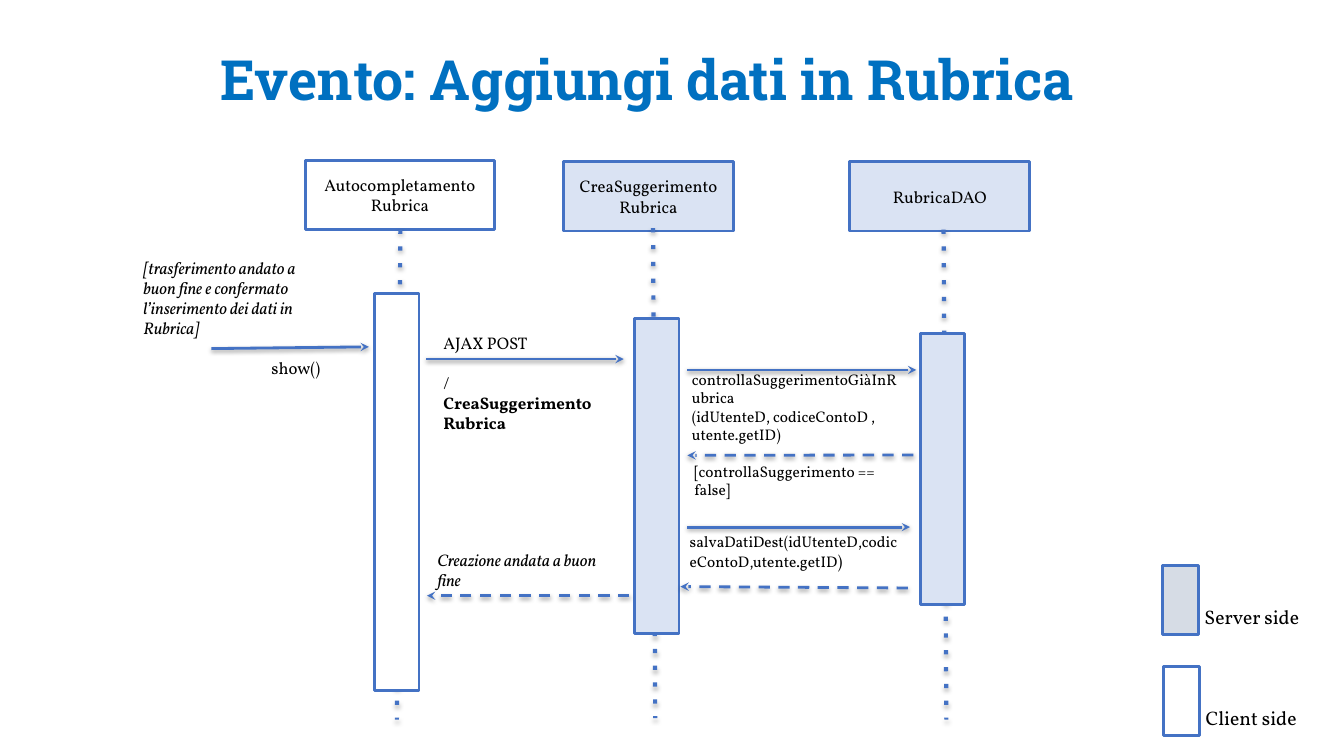
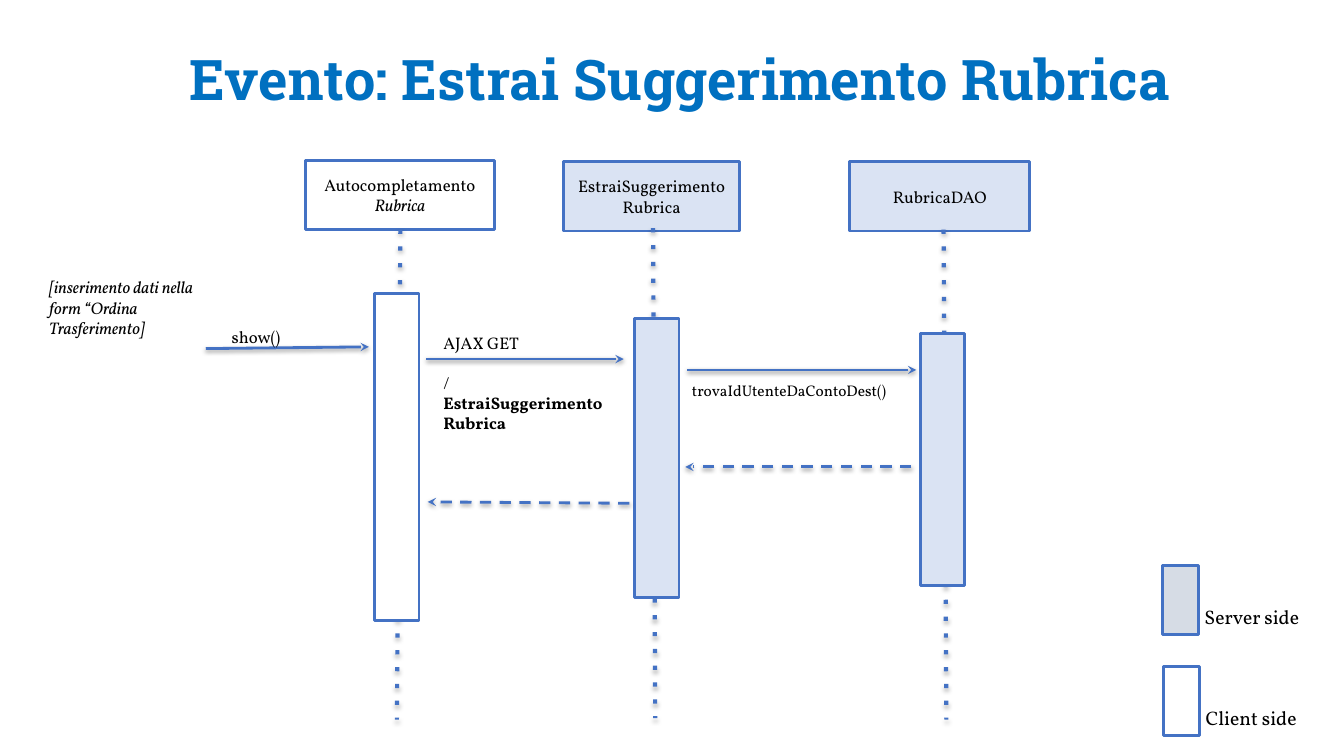
"""Build two sequence diagrams for the address book events."""
from lxml import etree
from pptx import Presentation
from pptx.dml.color import RGBColor
from pptx.enum import shapes, text
from pptx.oxml import ns
from pptx.util import Pt

TITLE_BLUE = RGBColor(0x00, 0x70, 0xC0)
LINE_BLUE = RGBColor(0x44, 0x72, 0xC4)
SERVER = RGBColor(0xDA, 0xE3, 0xF3)
LEGEND_GREY = RGBColor(0xD6, 0xDC, 0xE5)
CLIENT = RGBColor(0xFF, 0xFF, 0xFF)
BLACK = RGBColor(0x00, 0x00, 0x00)
TITLE_FONT, BODY_FONT = "Roboto Slab", "Vollkorn"
LEFT, CENTER, RIGHT = text.PP_ALIGN.LEFT, text.PP_ALIGN.CENTER, text.PP_ALIGN.RIGHT
BLANK_LINE = 14.3

HEADS = [(218, 114.5, CLIENT), (402.5, 115.5, SERVER), (607, 115.5, SERVER)]
LIFELINES = [(286, 164, 283.5, 514), (466.5, 163, 468, 513), (674, 164, 676, 514)]
BARS = [(267.75, 209.5, CLIENT), (453.5, 227.5, SERVER), (657.5, 238.5, SERVER)]
LEGEND = [("Server side", 830.25, 404, LEGEND_GREY), ("Client side", 831, 476, CLIENT)]
SHARED_CALLS = [(304.5, 256.5, 445.5, 256.5), (491, 264.25, 654.5, 264.25)]

LINE_STYLES = {
    "lifeline": dict(width=3, dash="dot", arrow=False, distance=23000, alpha=35000),
    "call": dict(width=2, dash="solid", arrow=True, distance=20000, alpha=38000),
    "reply": dict(width=2, dash="dash", arrow=True, distance=20000, alpha=38000),
}

EVENTS = [
    dict(
        title="Evento: Aggiungi dati in Rubrica",
        title_place=(150, 18, 696, 66), title_size=39.6, title_align=LEFT,
        head_widths=(135.5, 121.5, 128.5), bar_heights=(283.5, 225, 193.5),
        heads=[
            [(0, [("Autocompletamento", 12, "")]), (0, [("Rubrica", 12, "")])],
            [(0, [("CreaSuggerimentoRubrica", 12, "")])],
            [(0, [("RubricaDAO", 12, "")])],
        ],
        calls=[(151, 249, 263.5, 247.75), (491, 376.5, 650, 376.5)],
        replies=[(652.5, 325, 491, 325.25), (648.5, 420, 486, 419),
                 (449.5, 425.5, 305, 425.5)],
        labels=[
            ((95.4, 180.2, 140.4, 90), LEFT, [
                (0, [("[trasferimento andato a buon fine e confermato "
                      "l’inserimento dei dati in Rubrica]", 12, "i")]),
                (BLANK_LINE, [("show()", 12, "")], RIGHT)]),
            ((487.1, 260.8, 164.2, 60), LEFT, [
                (0, [("controllaSuggerimentoGiàInRubrica", 11, "")]),
                (0, [("(idUtenteD, codiceContoD , utente.getID)", 11, "")])]),
            ((305.3, 388.8, 141.8, 37.5), LEFT, [
                (0, [("Creazione andata a buon fine", 12, "i")])]),
            ((485.6, 376.7, 165.6, 36), LEFT, [
                (0, [("salvaDatiDest(idUtenteD,codiceContoD,utente.getID", 11, ""),
                     (")", 12, "")])]),
            ((309.6, 234, 127.4, 65.5), LEFT, [
                (0, [("AJAX POST", 12, "")]),
                (BLANK_LINE, [("/", 12, ""), ("CreaSuggerimentoRubrica", 12, "b")])]),
            ((488.9, 326.2, 159.8, 34), LEFT, [
                (0, [("[controllaSuggerimento == false]", 11, "")])]),
        ],
    ),
    dict(
        title="Evento: Estrai Suggerimento Rubrica",
        title_place=(44, 18, 883.5, 66), title_size=40, title_align=CENTER,
        head_widths=(135.5, 126, 128.5), bar_heights=(234, 199.5, 180),
        heads=[
            [(0, [("Autocompletamento", 12, "")]), (0, [("Rubrica", 12, "i")])],
            [(0, [("EstraiSuggerimentoRubrica", 12, "")])],
            [(0, [("RubricaDAO", 12, "")])],
        ],
        calls=[(147, 249, 263.5, 247.75)],
        replies=[(651, 333.5, 489.5, 333.5), (449.5, 359.5, 305.5, 358.5)],
        labels=[
            ((487.1, 268.7, 164.2, 34), LEFT, [
                (0, [("trovaIdUtenteDaContoDest()", 11, "")])]),
            ((309.6, 234, 134, 65.5), LEFT, [
                (0, [("AJAX GET", 12, "")]),
                (BLANK_LINE, [("/", 12, ""), ("EstraiSuggerimentoRubrica", 12, "b")])]),
            ((28.1, 194.4, 127.4, 51), LEFT, [
                (0, [("[inserimento dati nella form “Ordina Trasferimento]", 12, "i")])]),
            ((158.4, 229.7, 127.4, 21.6), LEFT, [(0, [("show()", 12, "")])]),
        ],
    ),
]


def add_block(slide, place, paragraphs=(), align=LEFT, fill=None):
    """Add a filled rectangle, or a plain text box when there is no fill."""
    place = [Pt(length) for length in place]
    if fill is None:
        block = slide.shapes.add_textbox(*place)
    else:
        block = slide.shapes.add_shape(shapes.MSO_SHAPE.RECTANGLE, *place)
        block.shadow.inherit = False
        block.fill.solid()
        block.fill.fore_color.rgb = fill
        block.line.color.rgb = LINE_BLUE
        block.line.width = Pt(2)
        block.text_frame.margin_left = block.text_frame.margin_right = Pt(9)
        block.text_frame.vertical_anchor = text.MSO_ANCHOR.MIDDLE
    frame = block.text_frame
    frame.word_wrap = True
    for index, (before, runs, *own_align) in enumerate(paragraphs):
        paragraph = frame.add_paragraph() if index else frame.paragraphs[0]
        paragraph.alignment = own_align[0] if own_align else align
        paragraph.space_before = Pt(before)
        for words, size, style in runs:
            run = paragraph.add_run()
            run.text = words
            run.font.name = BODY_FONT
            run.font.size = Pt(size)
            run.font.color.rgb = BLACK
            run.font.bold = "b" in style
            run.font.italic = "i" in style


def add_line(slide, ends, width, dash, arrow, distance, alpha):
    """Add a shadowed connector with the given dash and arrowhead."""
    connector = slide.shapes.add_connector(
        shapes.MSO_CONNECTOR.STRAIGHT, *[Pt(length) for length in ends])
    connector.line.color.rgb = LINE_BLUE
    connector.line.width = Pt(width)
    properties = connector.element.spPr
    outline = properties.find(ns.qn("a:ln"))
    etree.SubElement(outline, ns.qn("a:prstDash"), val=dash)
    if arrow:
        etree.SubElement(outline, ns.qn("a:tailEnd"), type="stealth")
    effects = etree.SubElement(properties, ns.qn("a:effectLst"))
    shadow = etree.SubElement(effects, ns.qn("a:outerShdw"), blurRad="40000",
                              dist=str(distance), dir="5400000", rotWithShape="0")
    shade = etree.SubElement(shadow, ns.qn("a:srgbClr"), val=str(BLACK))
    etree.SubElement(shade, ns.qn("a:alpha"), val=str(alpha))


deck = Presentation()
deck.slide_width, deck.slide_height = Pt(960), Pt(540)

for event in EVENTS:
    slide = deck.slides.add_slide(deck.slide_layouts[5])
    title = slide.shapes.title
    title.left, title.top, title.width, title.height = map(Pt, event["title_place"])
    title.text_frame.word_wrap = True
    title.text_frame.auto_size = text.MSO_AUTO_SIZE.NONE
    title.text_frame.vertical_anchor = text.MSO_ANCHOR.BOTTOM
    heading = title.text_frame.paragraphs[0]
    heading.alignment = event["title_align"]
    heading.line_spacing = 0.9
    heading_run = heading.add_run()
    heading_run.text = event["title"]
    heading_run.font.name = TITLE_FONT
    heading_run.font.size = Pt(event["title_size"])
    heading_run.font.bold = True
    heading_run.font.color.rgb = TITLE_BLUE

    for side, left, top, fill in LEGEND:
        add_block(slide, (left, top, 26, 49.5), fill=fill)
        add_block(slide, (left + 23, top + 24.5, 87, 24.5), [(0, [(side, 14, "")])])

    for (left, top, fill), width, names in zip(HEADS, event["head_widths"], event["heads"]):
        add_block(slide, (left, top, width, 49.5), names, CENTER, fill)
    for ends in LIFELINES:
        add_line(slide, ends, **LINE_STYLES["lifeline"])
    for (left, top, fill), height in zip(BARS, event["bar_heights"]):
        add_block(slide, (left, top, 31.5, height), fill=fill)

    for ends in SHARED_CALLS + event["calls"]:
        add_line(slide, ends, **LINE_STYLES["call"])
    for ends in event["replies"]:
        add_line(slide, ends, **LINE_STYLES["reply"])
    for place, align, paragraphs in event["labels"]:
        add_block(slide, place, paragraphs, align)

deck.save("out.pptx")
